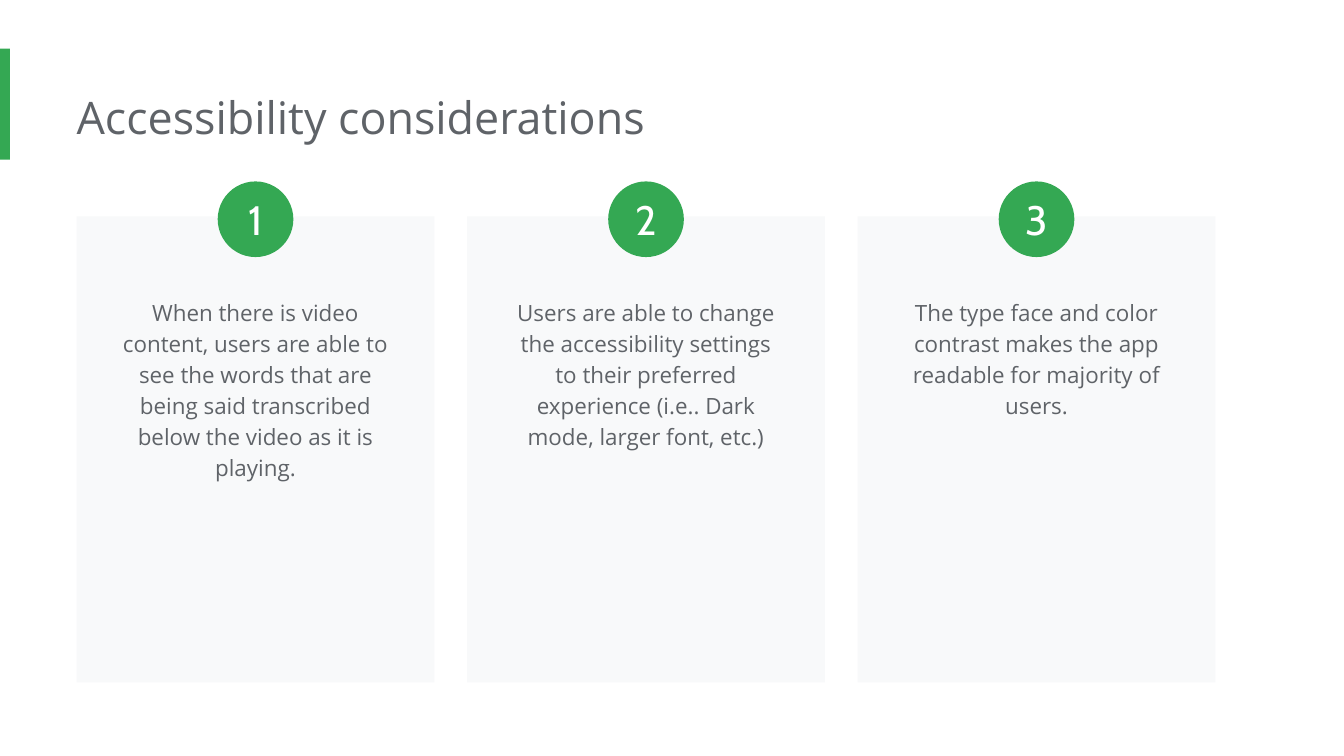
from pptx import Presentation
from pptx.dml.color import RGBColor
from pptx.enum.shapes import MSO_SHAPE
from pptx.enum.text import MSO_ANCHOR, MSO_AUTO_SIZE, PP_ALIGN
from pptx.util import Cm, Pt

GREEN = RGBColor(0x34, 0xA8, 0x53)
GRAY = RGBColor(0x5F, 0x63, 0x68)
PALE = RGBColor(0xF8, 0xF9, 0xFA)
WHITE = RGBColor(0xFF, 0xFF, 0xFF)
RECT, OVAL = MSO_SHAPE.RECTANGLE, MSO_SHAPE.OVAL
LEFT, CENTER = PP_ALIGN.LEFT, PP_ALIGN.CENTER
TOP, MIDDLE = MSO_ANCHOR.TOP, MSO_ANCHOR.MIDDLE
GROW, FIXED = MSO_AUTO_SIZE.SHAPE_TO_FIT_TEXT, MSO_AUTO_SIZE.NONE

HEAD = {"size": Pt(24), "name": "Open Sans"}
BODY = {"size": Pt(12), "name": "Open Sans"}
BADGE = {"size": Pt(22), "name": "Cabin"}

CARDS = [
    ("When there is video content, users are able to see the words that are "
     "being said transcribed below the video as it is playing.", 6),
    ("Users are able to change the accessibility settings to their preferred "
     "experience (i.e.. Dark mode, larger font, etc.)", 5),
    ("The type face and color contrast makes the app readable for majority "
     "of users.", 4),
]


def add_form(slide, kind, box, fill):
    form = slide.shapes.add_shape(kind, *map(Cm, box))
    form.shadow.inherit = False
    form.fill.solid()
    form.fill.fore_color.rgb = fill
    form.line.fill.background()
    return form


def set_text(shape, text, font, color, align, pads, anchor=TOP, fit=GROW,
             space=1.0):
    frame = shape.text_frame
    sides = ("margin_left", "margin_top", "margin_right", "margin_bottom")
    form = dict(zip(sides, map(Cm, pads)))
    form.update(word_wrap=True, auto_size=fit, vertical_anchor=anchor)
    for key, value in form.items():
        setattr(frame, key, value)
    line = frame.paragraphs[0]
    line.alignment = align
    line.line_spacing = space
    run = line.add_run()
    run.text = text
    for key, value in font.items():
        setattr(run.font, key, value)
    run.font.color.rgb = color


def add_title(slide, box, text):
    left, top, width, height = box
    add_form(slide, RECT, (0, top - 0.53, 0.19, 2.1), GREEN)
    label = slide.shapes.add_textbox(*map(Cm, box))
    set_text(label, text, HEAD, GRAY, LEFT, (0, 0.25, 0.25, 0.25))


def add_card(slide, box, number, text, lines):
    left, top, width, height = box
    inset, size = 0.53, 1.43
    add_form(slide, RECT, box, PALE)
    area = (left + inset, top + 1.24, width - 2 * inset, 0.5 + 0.6 * lines)
    label = slide.shapes.add_textbox(*map(Cm, area))
    set_text(label, text, BODY, GRAY, CENTER, [0.25] * 4, space=1.15)
    spot = (left + (width - size) / 2, top - 0.66, size, size)
    badge = add_form(slide, OVAL, spot, GREEN)
    set_text(badge, str(number), BADGE, WHITE, CENTER, [0] * 4, MIDDLE, FIXED)


def add_cards(slide, box, cards, gap):
    left, top, width, height = box
    wide = (width - gap * (len(cards) - 1)) / len(cards)
    for i, (text, lines) in enumerate(cards):
        place = (left + i * (wide + gap), top, wide, height)
        add_card(slide, place, i + 1, text, lines)


def main():
    deck = Presentation()
    deck.slide_width, deck.slide_height = Cm(25.4), Cm(14.29)
    slide = deck.slides.add_slide(deck.slide_layouts[6])
    add_title(slide, (1.45, 1.45, 19.46, 1.55), "Accessibility considerations")
    add_cards(slide, (1.45, 4.09, 21.52, 8.81), CARDS, 0.62)
    deck.save("out.pptx")


if __name__ == "__main__":
    main()
